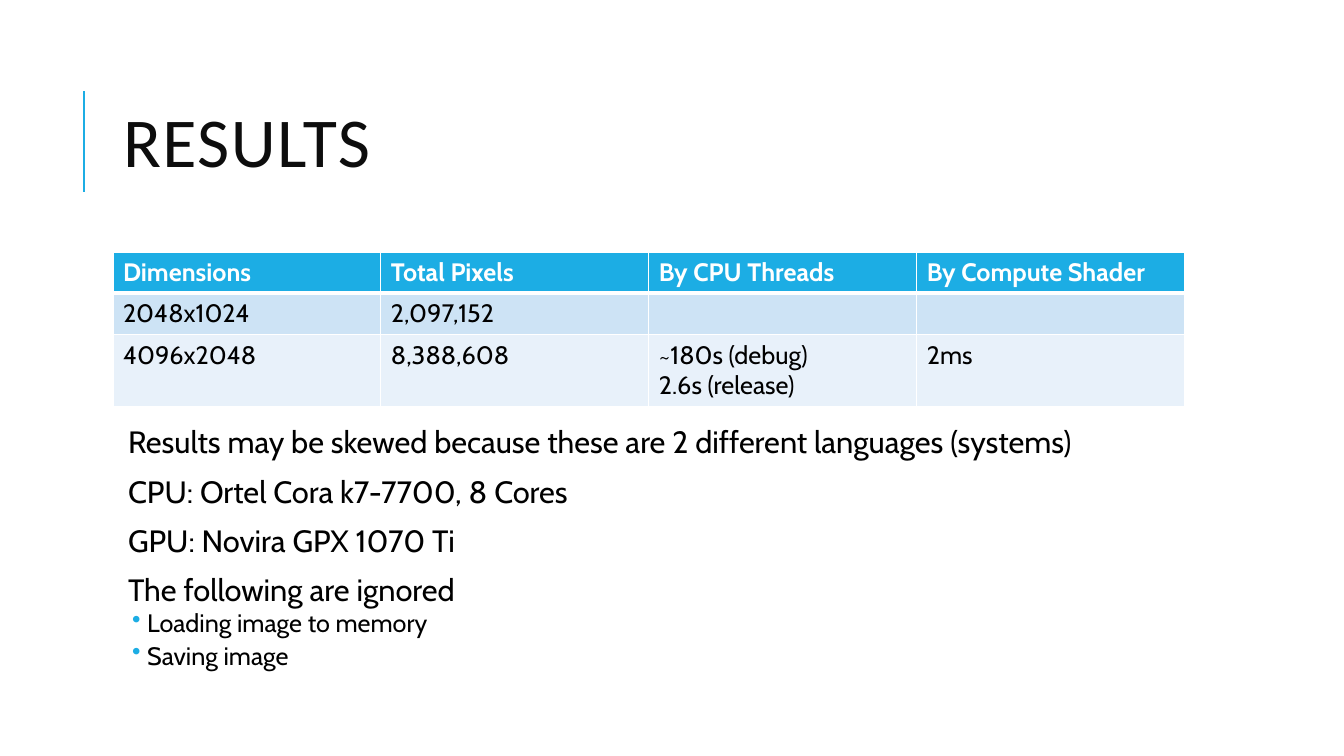
from lxml import etree
from pptx import Presentation
from pptx.dml.color import RGBColor
from pptx.enum.shapes import MSO_CONNECTOR
from pptx.enum.text import MSO_ANCHOR, MSO_AUTO_SIZE, PP_ALIGN
from pptx.oxml.ns import qn
from pptx.util import Inches, Pt

LINE = MSO_CONNECTOR.STRAIGHT
MIDDLE = MSO_ANCHOR.MIDDLE
NO_FIT = MSO_AUTO_SIZE.NONE
LEFT = PP_ALIGN.LEFT

BLUE = RGBColor(0x1C, 0xAD, 0xE4)
BAND = RGBColor(0xCD, 0xE3, 0xF5)
PALE = RGBColor(0xE8, 0xF1, 0xFA)
WHITE = RGBColor(0xFF, 0xFF, 0xFF)
BLACK = RGBColor(0, 0, 0)
INK = RGBColor(0x0D, 0x0D, 0x0D)

EDGE, WIDTH = Inches(1.12), Inches(10.63)
FILLS = [BLUE, BAND, PALE]
HEIGHTS = [0.41, 0.41, 0.69]
ROWS = [
    ["Dimensions", "Total Pixels", "By CPU Threads", "By Compute Shader"],
    ["2048x1024", "2,097,152", "", ""],
    ["4096x2048", "8,388,608", "~180s (debug)\n2.6s (release)", "2ms"],
]
NOTES = [
    "Results may be skewed because these are 2 different languages (systems)",
    "CPU: Ortel Cora k7-7700, 8 Cores",
    "GPU: Novira GPX 1070 Ti",
    "The following are ignored",
]
ITEMS = ["Loading image to memory", "Saving image"]


def add_run(para, text, size, color, font="Cabin", bold=False):
    run = para.add_run()
    run.text = text
    run.font.name = font
    run.font.size = Pt(size)
    run.font.bold = bold
    run.font.color.rgb = color
    return run


def add_para(frame, first):
    return frame.paragraphs[0] if first else frame.add_paragraph()


def add_title(slide, text):
    title = slide.shapes.title
    title.left, title.top = EDGE, Inches(0.64)
    title.width, title.height = WIDTH, Inches(1.64)
    frame = title.text_frame
    frame.auto_size = NO_FIT
    frame.vertical_anchor = MIDDLE
    para = frame.paragraphs[0]
    para.alignment = LEFT
    para.line_spacing = 0.8
    run = add_run(para, text, 50, INK, "Calibri")
    run.font._element.set("spc", "100")


def add_rule(slide):
    x = Inches(0.83)
    rule = slide.shapes.add_connector(LINE, x, Inches(1.9), x, Inches(0.9))
    rule.line.color.rgb = BLUE
    rule.line.width = Pt(1.5)
    etree.SubElement(rule._element.spPr, qn("a:effectLst"))


def set_border(cell, side, width):
    props = cell._tc.get_or_add_tcPr()
    line = etree.SubElement(props, qn("a:ln" + side), w=str(Pt(width)))
    fill = etree.SubElement(line, qn("a:solidFill"))
    etree.SubElement(fill, qn("a:srgbClr"), val=str(WHITE))


def fill_cell(cell, text, row):
    # The line under the header is thicker
    thick = {(0, "B"), (1, "T")}
    for side in "LRTB":
        set_border(cell, side, 3 if (row, side) in thick else 1)
    cell.fill.solid()
    cell.fill.fore_color.rgb = FILLS[row]
    head = row == 0
    for i, line in enumerate(text.split("\n") if text else []):
        para = add_para(cell.text_frame, i == 0)
        add_run(para, line, 18, WHITE if head else BLACK, bold=head)


def add_grid(slide):
    frame = slide.shapes.add_table(len(ROWS), len(ROWS[0]), EDGE, Inches(2.5),
                                   WIDTH, Inches(sum(HEIGHTS)))
    table = frame.table
    for column in table.columns:
        column.width = WIDTH // len(ROWS[0])
    for r, texts in enumerate(ROWS):
        table.rows[r].height = Inches(HEIGHTS[r])
        for c, text in enumerate(texts):
            fill_cell(table.cell(r, c), text, r)


def set_space(para, before, after, margin, indent):
    para.line_spacing = 0.8
    para.space_before, para.space_after = Pt(before), Pt(after)
    props = para._p.get_or_add_pPr()
    props.set("marL", str(Inches(margin)))
    props.set("indent", str(Inches(indent)))


def add_bullet(para):
    props = para._p.get_or_add_pPr()
    color = etree.SubElement(props, qn("a:buClr"))
    etree.SubElement(color, qn("a:srgbClr"), val=str(BLUE))
    etree.SubElement(props, qn("a:buChar"), char="•")


def add_notes(slide):
    box = slide.shapes.add_textbox(EDGE, Inches(4.22), WIDTH, Inches(2.68))
    frame = box.text_frame
    frame.word_wrap = True
    frame.margin_left = frame.margin_right = Inches(0.05)
    for i, text in enumerate(NOTES):
        para = add_para(frame, i == 0)
        set_space(para, 12, 2, 0.1, 0)
        add_run(para, text, 22, BLACK)
    for text in ITEMS:
        para = frame.add_paragraph()
        para.level = 1
        set_space(para, 2, 4, 0.29, -0.15)
        add_bullet(para)
        add_run(para, text, 18, BLACK)


def main():
    deck = Presentation()
    deck.slide_width, deck.slide_height = Inches(13.33), Inches(7.5)
    slide = deck.slides.add_slide(deck.slide_layouts[5])
    # Heading
    add_rule(slide)
    add_title(slide, "RESULTS")
    # Timings and remarks
    add_grid(slide)
    add_notes(slide)
    deck.save("out.pptx")


if __name__ == "__main__":
    main()
